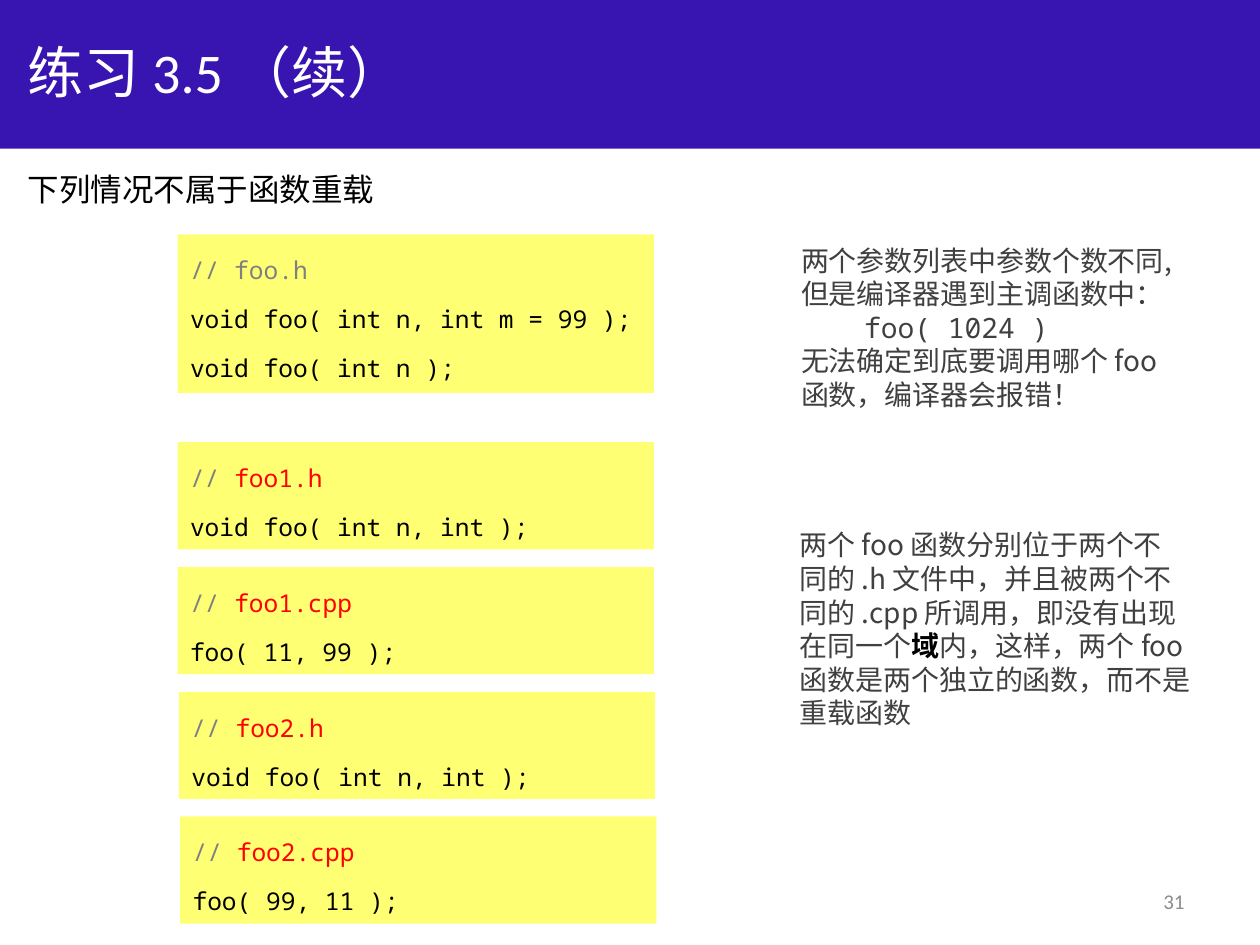
from pptx import Presentation
from pptx.dml.color import RGBColor
from pptx.enum.shapes import MSO_SHAPE as SHAPE
from pptx.enum.text import MSO_ANCHOR as ANCHOR, PP_ALIGN as ALIGN
from pptx.oxml.ns import qn
from pptx.util import Inches, Pt
from lxml import etree

CJK, MONO, LATIN = "Noto Sans CJK SC", "Noto Sans Mono", "Calibri"
BLACK, GREY, RED, DARK = "000000", "808080", "FF0000", "404040"


def add_rect(left, top, width, height, fill):
    """Add a plain filled rectangle."""
    sp = s.shapes.add_shape(SHAPE.RECTANGLE, Inches(left), Inches(top),
                            Inches(width), Inches(height))
    sp.shadow.inherit = False
    sp.fill.solid()
    sp.fill.fore_color.rgb = RGBColor.from_string(fill)
    sp.line.fill.background()
    return sp


def write(sp, lines, size=16, font=CJK, color=DARK, leading=None, before=0,
          wrap=False, anchor=ANCHOR.TOP, align=ALIGN.LEFT):
    """Write lines of (text, overrides) runs into a shape."""
    tf = sp.text_frame
    tf.word_wrap, tf.vertical_anchor = wrap, anchor
    for i, runs in enumerate(lines):
        p = tf.paragraphs[0] if i == 0 else tf.add_paragraph()
        p.alignment, p.space_before = align, Pt(before)
        if leading:
            p.line_spacing = Pt(leading)
        for text, style in [(runs, {})] if isinstance(runs, str) else runs:
            r = p.add_run()
            r.text = text
            r.font.size, r.font.bold = Pt(size), style.get("bold", False)
            r.font.name = style.get("font", font)
            r.font.color.rgb = RGBColor.from_string(style.get("color", color))
            ea = etree.SubElement(r.font._element, qn("a:ea"))
            ea.set("typeface", CJK)
            if "indent" in style:
                p._p.get_or_add_pPr().set("marL", str(Inches(style["indent"])))


prs = Presentation()
prs.slide_width, prs.slide_height = Inches(10), Inches(7.5)
s = prs.slides.add_slide(prs.slide_layouts[6])

add_rect(0, 0, 10, 1.18, "3814B0")

# Title, subtitle, explanations and slide number
call = [("foo( 1024 )", {"font": MONO, "indent": 0.5})]
scope = [("在同一个", {}), ("域", {"color": BLACK, "bold": True}),
         ("内，这样，两个 foo", {})]
texts = [
    ((0.12, 0.06, 9, 1.01), ["练习 3.5 （续）"],
     dict(size=32, font=LATIN, color="FFFFFF", wrap=True, anchor=ANCHOR.MIDDLE)),
    ((0.12, 1.3, 2.98, 0.4), ["下列情况不属于函数重载"],
     dict(size=18, color=BLACK, leading=21.6)),
    ((6.26, 1.88, 3.17, 1.45),
     ["两个参数列表中参数个数不同,", "但是编译器遇到主调函数中：", call,
      "无法确定到底要调用哪个 foo", "函数，编译器会报错！"],
     dict(leading=19.2)),
    ((6.25, 4.14, 3.34, 1.72),
     ["两个 foo 函数分别位于两个不", "同的 .h 文件中，并且被两个不",
      "同的 .cpp 所调用，即没有出现", scope,
      "函数是两个独立的函数，而不是", "重载函数"],
     dict(leading=19.2)),
    ((7.17, 6.95, 2.33, 0.4), ["31"],
     dict(size=12, font=LATIN, color="8C8C8C", wrap=True,
          anchor=ANCHOR.MIDDLE, align=ALIGN.RIGHT)),
]
for box, lines, style in texts:
    write(s.shapes.add_textbox(*map(Inches, box)), lines, **style)

# Code boxes: a comment with the file name, then the code
listings = [
    (1.41, 1.86, 1.26, "foo.h", GREY,
     ["void foo( int n, int m = 99 );", "void foo( int n );"]),
    (1.41, 3.51, 0.85, "foo1.h", RED, ["void foo( int n, int );"]),
    (1.41, 4.5, 0.85, "foo1.cpp", RED, ["foo( 11, 99 );"]),
    (1.42, 5.49, 0.85, "foo2.h", RED, ["void foo( int n, int );"]),
    (1.43, 6.48, 0.85, "foo2.cpp", RED, ["foo( 99, 11 );"]),
]
for left, top, height, name, color, code in listings:
    comment = [("// ", {"color": GREY}), (name, {"color": color})]
    write(add_rect(left, top, 3.78, height, "FFFF73"), [comment] + code,
          size=14, font=MONO, color=BLACK, leading=25.2, before=2.8, wrap=True)

prs.save("out.pptx")
